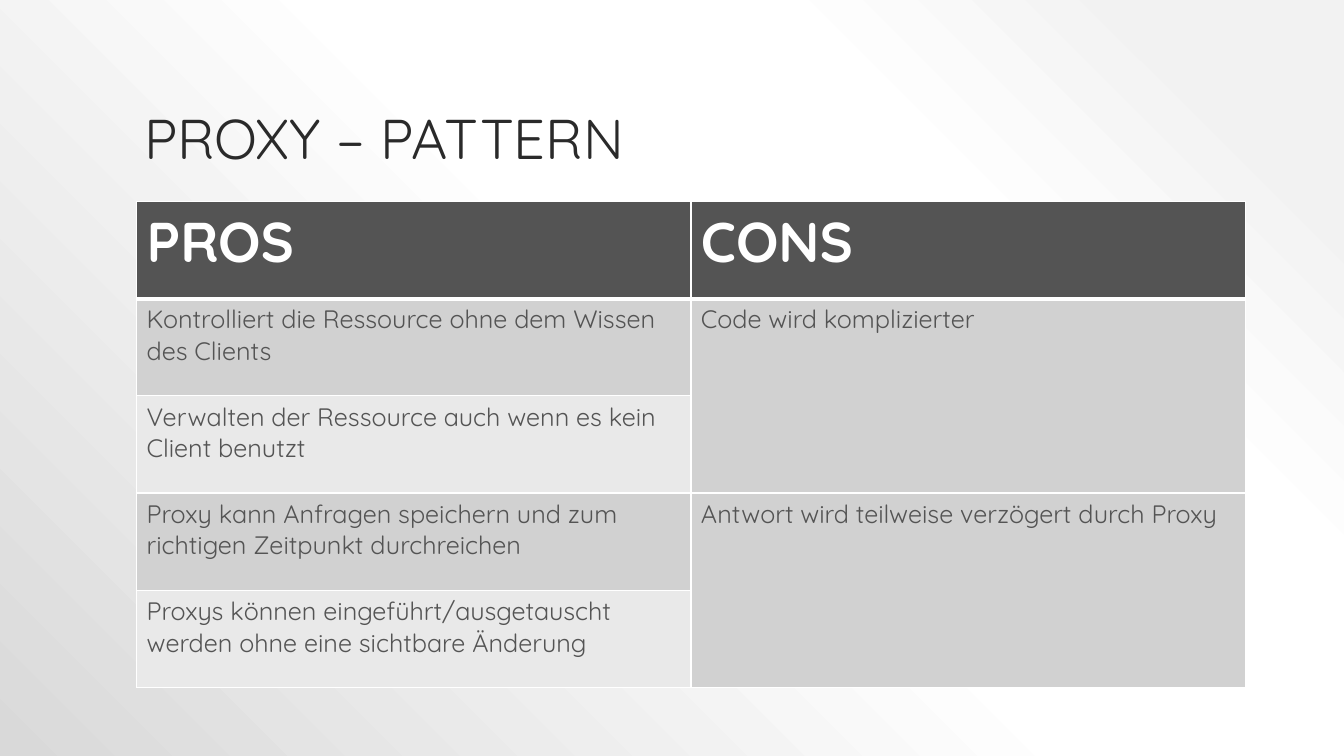
from lxml.etree import SubElement
from pptx import Presentation
from pptx.dml.color import RGBColor
from pptx.enum.text import MSO_ANCHOR, MSO_AUTO_SIZE, PP_ALIGN
from pptx.oxml import parse_xml
from pptx.oxml.ns import nsdecls, qn
from pptx.util import Pt

FONT = "Quicksand"
WHITE = RGBColor(0xFF, 0xFF, 0xFF)
INK = RGBColor(0x2A, 0x2A, 0x2A)
DARK = RGBColor(0x54, 0x54, 0x54)
MEDIUM = RGBColor(0xD1, 0xD1, 0xD1)
LIGHT = RGBColor(0xE9, 0xE9, 0xE9)
PALE = RGBColor(0xF2, 0xF2, 0xF2)
SILVER = RGBColor(0xD9, 0xD9, 0xD9)

BACKDROP = [(10, PALE), (28, WHITE), (48, WHITE), (100, SILVER)]
TITLE_FORMAT = {"size": Pt(40), "name": FONT, "bold": False}
HEADER_FORMAT = {"size": Pt(40), "name": FONT, "bold": True}
BODY_FORMAT = {"size": Pt(18), "name": FONT, "bold": False}

HEADERS = ["PROS", "CONS"]
PROS = [
    "Kontrolliert die Ressource ohne dem Wissen des Clients",
    "Verwalten der Ressource auch wenn es kein Client benutzt",
    "Proxy kann Anfragen speichern und zum richtigen Zeitpunkt durchreichen",
    "Proxys können eingeführt/ausgetauscht werden ohne eine sichtbare Änderung",
]
CONS = ["Code wird komplizierter", "Antwort wird teilweise verzögert durch\u00a0Proxy"]


def write_text(text_frame, text, font_format, color):
    paragraph = text_frame.paragraphs[0]
    paragraph.alignment = PP_ALIGN.LEFT
    run = paragraph.add_run()
    run.text = text
    for name, value in font_format.items():
        setattr(run.font, name, value)
    run.font.color.rgb = color
    return paragraph


def paint_background(slide):
    slide.background.fill.solid()
    solid = slide.element.find(".//" + qn("p:bgPr"))[0]
    stops = "".join(
        f'<a:gs pos="{position * 1000}"><a:srgbClr val="{color}"/></a:gs>'
        for position, color in BACKDROP
    )
    gradient = parse_xml(
        f'<a:gradFill {nsdecls("a")} rotWithShape="1"><a:gsLst>{stops}</a:gsLst>'
        '<a:path path="circle"><a:fillToRect l="100000" b="100000"/></a:path></a:gradFill>'
    )
    solid.getparent().replace(solid, gradient)


def place_title(slide, left, top, width, height):
    title = slide.shapes.title
    box = {"left": left, "top": top, "width": width, "height": height}
    for name, value in box.items():
        setattr(title, name, Pt(value))
    frame = title.text_frame
    frame.auto_size = MSO_AUTO_SIZE.NONE
    frame.word_wrap = True
    frame.vertical_anchor = MSO_ANCHOR.BOTTOM
    paragraph = write_text(frame, "PROXY – PATTERN\u00a0", TITLE_FORMAT, INK)
    paragraph.line_spacing = 0.9


def style_cell(cell, fill_color, top_width, bottom_width):
    properties = cell._tc.get_or_add_tcPr()
    borders = {"lnL": 1, "lnR": 1, "lnT": top_width, "lnB": bottom_width}
    for side, width in borders.items():
        line = SubElement(properties, qn(f"a:{side}"), w=str(Pt(width)))
        SubElement(SubElement(line, qn("a:solidFill")), qn("a:srgbClr"), val=str(WHITE))
    cell.fill.solid()
    cell.fill.fore_color.rgb = fill_color


def place_comparison(slide, left, top, width, height):
    row_count = len(PROS) + 1
    table = slide.shapes.add_table(
        row_count, len(HEADERS), Pt(left), Pt(top), Pt(width), Pt(height)
    ).table
    for row in table.rows:
        row.height = Pt(height / row_count)
    for row in range(row_count):
        for column in range(len(HEADERS)):
            if row == 0:
                color = DARK
            else:
                color = LIGHT if column == 0 and row % 2 == 0 else MEDIUM
            style_cell(table.cell(row, column), color,
                       3 if row == 1 else 1, 3 if row == 0 else 1)
    for column, header in enumerate(HEADERS):
        write_text(table.cell(0, column).text_frame, header, HEADER_FORMAT, WHITE)
    for row, pro in enumerate(PROS, start=1):
        write_text(table.cell(row, 0).text_frame, pro, BODY_FORMAT, DARK)
    span = len(PROS) // len(CONS)
    for index, con in enumerate(CONS):
        first = 1 + index * span
        cell = table.cell(first, 1)
        cell.merge(table.cell(first + span - 1, 1))
        write_text(cell.text_frame, con, BODY_FORMAT, DARK)


presentation = Presentation()
presentation.slide_width = Pt(960)
presentation.slide_height = Pt(540)
slide = presentation.slides.add_slide(presentation.slide_layouts[5])
paint_background(slide)
place_title(slide, 96, 21.6, 768, 104.4)
place_comparison(slide, 97.5, 144, 792, 347)
presentation.save("out.pptx")
